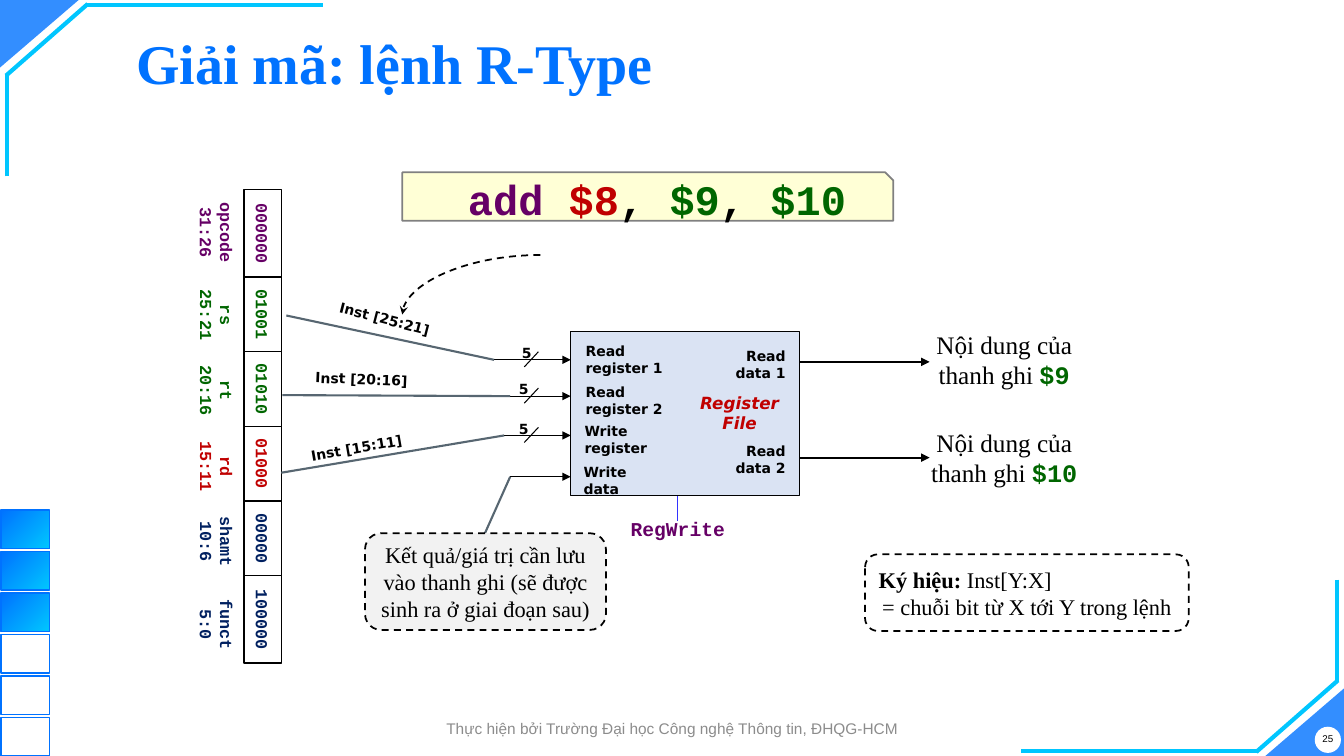
from dataclasses import dataclass, replace

from lxml.etree import SubElement
from pptx import Presentation
from pptx.dml.color import RGBColor
from pptx.enum.dml import MSO_LINE
from pptx.enum.shapes import MSO_CONNECTOR, MSO_SHAPE
from pptx.enum.text import MSO_ANCHOR, MSO_AUTO_SIZE, PP_ALIGN
from pptx.oxml.ns import qn
from pptx.util import Inches, Pt

BLUE = RGBColor(0x00, 0x72, 0xFF)
CYAN = RGBColor(0x00, 0xC6, 0xFF)
WHITE = RGBColor(0xFF, 0xFF, 0xFF)
BLACK = RGBColor(0x00, 0x00, 0x00)
GRAY = RGBColor(0x8C, 0x8C, 0x8C)
PURPLE = RGBColor(0x66, 0x00, 0x66)
GREEN = RGBColor(0x00, 0x66, 0x00)
RED = RGBColor(0xC0, 0x00, 0x00)
NAVY = RGBColor(0x00, 0x20, 0x60)
WIRE = RGBColor(0x57, 0x66, 0x71)
CONTROL = RGBColor(0x33, 0x33, 0xFF)
PALE_BLUE = RGBColor(0xDA, 0xE3, 0xF3)
PALE_GRAY = RGBColor(0xF2, 0xF2, 0xF2)
PALE_YELLOW = RGBColor(0xFF, 0xFF, 0xCC)
OLIVE_EDGE = RGBColor(0x80, 0x80, 0x80)

WIDTH, HEIGHT = 13.33, 7.5
LEFT, CENTER, RIGHT = PP_ALIGN.LEFT, PP_ALIGN.CENTER, PP_ALIGN.RIGHT


@dataclass
class Face:
    font: str
    size: float
    color: RGBColor = BLACK
    bold: bool = False
    italic: bool = False


SERIF = Face("Times New Roman", 16)
CODE = Face("Courier New", 12, bold=True)
PORT = Face("DejaVu Sans", 10, bold=True)


def write(shape, paragraphs, align=CENTER, anchor=MSO_ANCHOR.MIDDLE, wrap=True):
    """Fill a shape with paragraphs, each a list of (text, Face) runs."""
    frame = shape.text_frame
    frame.auto_size = MSO_AUTO_SIZE.NONE
    frame.word_wrap = wrap
    frame.vertical_anchor = anchor
    for index, runs in enumerate(paragraphs):
        paragraph = frame.add_paragraph() if index else frame.paragraphs[0]
        paragraph.alignment = align
        for words, face in runs:
            run = paragraph.add_run()
            run.text = words
            run.font.name, run.font.size = face.font, Pt(face.size)
            run.font.bold, run.font.italic = face.bold, face.italic
            run.font.color.rgb = face.color
    return frame


def label(slide, box, paragraphs, rotation=0, **options):
    textbox = slide.shapes.add_textbox(*map(Inches, box))
    textbox.rotation = rotation
    write(textbox, paragraphs, **options)


def port_label(slide, box, lines, face=PORT, align=LEFT, rotation=0):
    label(slide, box, [[(line, face)] for line in lines], rotation,
          align=align, anchor=MSO_ANCHOR.TOP, wrap=False)


def panel(slide, kind, box, fill=None, edge=None, weight=1, alpha=None):
    shape = slide.shapes.add_shape(kind, *map(Inches, box))
    shape.shadow.inherit = False
    if fill is None:
        shape.fill.background()
    else:
        shape.fill.solid()
        shape.fill.fore_color.rgb = fill
        if alpha:
            color = shape._element.spPr.find(qn("a:solidFill"))[0]
            SubElement(color, qn("a:alpha")).set("val", str(alpha * 1000))
    if edge is None:
        shape.line.fill.background()
    else:
        shape.line.color.rgb = edge
        shape.line.width = Pt(weight)
    return shape


def line(slide, start, end, color=BLACK, weight=0.75, head=None,
         kind=MSO_CONNECTOR.STRAIGHT, dash=None):
    connector = slide.shapes.add_connector(kind, *map(Inches, (*start, *end)))
    connector.line.color.rgb = color
    connector.line.width = Pt(weight)
    if dash:
        connector.line.dash_style = dash
    if head:
        SubElement(connector.line._get_or_add_ln(), qn("a:tailEnd")).set("type", head)
    SubElement(connector._element.spPr, qn("a:effectLst"))
    return connector


def corner(slide, box, opposite=False):
    """Triangle and three strokes of the top left corner, or of the opposite one."""
    triangle = panel(slide, MSO_SHAPE.ISOSCELES_TRIANGLE, box, BLUE, alpha=80)
    triangle.adjustments[0] = 1
    triangle.rotation = 0 if opposite else 180
    left, top, width, height = box
    strokes = [((3.2, 0.05), (0.85, 0.05)), ((0.87, 0.04), (0.06, 0.75)),
               ((0.07, 1.75), (0.07, 0.73))]
    for stroke in strokes:
        ends = [(left + width - x, top + height - y) if opposite else (left + x, top + y)
                for x, y in stroke]
        line(slide, *ends, CYAN, 3)


def progress_squares(slide, left, top, filled=3, total=6):
    for index in range(total):
        square = panel(slide, MSO_SHAPE.RECTANGLE,
                       (left, top + index * 0.412, 0.48, 0.38), edge=BLUE)
        if index < filled:
            square.fill.gradient()
            square.fill.gradient_angle = 315
            for stop, color in zip(square.fill.gradient_stops, (BLUE, CYAN)):
                stop.color.rgb = color


def heading(slide, box):
    title = slide.shapes.title
    title.left, title.top, title.width, title.height = map(Inches, box)
    face = replace(SERIF, size=40, color=BLUE, bold=True)
    frame = write(title, [[("Giải mã: lệnh R-Type", face)]], LEFT)
    frame.paragraphs[0].line_spacing = 0.9


def footer(slide, box):
    panel(slide, MSO_SHAPE.OVAL, (13.04, 7.21, 0.26, 0.26), WHITE)
    label(slide, (13.01, 7.17, 0.32, 0.32), [[("25", Face("Arial", 7))]], wrap=False)
    credit = "Thực hiện bởi Trường Đại học Công nghệ Thông tin, ĐHQG-HCM"
    label(slide, box, [[(credit, Face("Arial", 11, GRAY))]])


def instruction_fields(slide, left, top, width=0.37):
    """Column of bit fields, read downwards, with names on its left."""
    fields = [("opcode", "31:26", "000000", PURPLE), ("rs", "25:21", "01001", GREEN),
              ("rt", "20:16", "01010", GREEN), ("rd", "15:11", "01000", RED),
              ("shamt", "10:6", "00000", NAVY), ("funct", "5:0", "100000", NAVY)]
    name_top = top - 0.02
    for name, span, bits, color in fields:
        length, name_length = (0.87, 0.89) if len(bits) == 6 else (0.74, 0.75)
        face = replace(CODE, color=color)
        label(slide, (left - 0.27 - name_length / 2, name_top + name_length / 2 - 0.275,
                      name_length, 0.55), [[(name, face)], [(span, face)]], 90)
        cell = panel(slide, MSO_SHAPE.RECTANGLE,
                     (left + (width - length) / 2, top + (length - width) / 2, length, width),
                     WHITE, BLACK)
        cell.rotation = 90
        write(cell, [[(bits, face)]])
        top += length
        name_top += name_length


def register_file(slide, box):
    left, top, width, height = box
    right = left + width
    panel(slide, MSO_SHAPE.RECTANGLE, box, PALE_BLUE, BLACK, 0.75)
    inputs = [("Read", "register 1", 0.05, 0.06, 0.28, 0.76, 0.58),
              ("Read", "register 2", 0.05, 0.47, 0.64, 0.60, 0.61),
              ("Write", "register", 0.04, 0.85, 1.03, 0.66, 0.61),
              ("Write", "data", 0.03, 1.26, 1.44, 0.60, None)]
    for first, second, dx, dy, port, reach, width_mark in inputs:
        port_label(slide, (left + dx, top + dy, 0.96, 0.43), (first, second))
        y = top + port
        line(slide, (left - reach, y), (left, y), head="triangle")
        if width_mark:
            line(slide, (left - 0.32, y - 0.08), (left - 0.46, y + 0.07))
            port_label(slide, (left - width_mark, y - 0.2, 0.29, 0.26), ["5"], align=CENTER)
    outputs = [(1, 0.3, 0.11, 0.07, "$9"), (2, 1.25, 1.05, 1.04, "$10")]
    for number, port, name_dy, content_dy, register in outputs:
        y = top + port
        port_label(slide, (right - 0.73, top + name_dy, 0.69, 0.43),
                   ("Read", f"data {number}"), align=RIGHT)
        line(slide, (right, y), (right + 1.29, y), weight=1.5, head="triangle")
        label(slide, (right + 1.11, top + content_dy, 1.84, 0.41),
              [[("Nội dung của thanh ghi ", replace(SERIF, size=18)),
                (register, replace(CODE, size=18, color=GREEN))]])
    port_label(slide, (left + 1.18, top + 0.56, 0.99, 0.5), ("Register", "File"),
               replace(PORT, size=12, color=RED, italic=True), CENTER)
    line(slide, (left + 1.06, top + height), (left + 1.06, top + height + 0.25), CONTROL)
    port_label(slide, (left + 0.5, top + height + 0.16, 1.13, 0.33), ["RegWrite"],
               replace(CODE, size=14, color=PURPLE), RIGHT)


def instruction_wires(slide):
    wires = [((2.84, 3.13), (4.9, 3.57), "25:21", (3.26, 3.03), 14.4),
             ((2.8, 3.92), (5.06, 3.93), "20:16", (3.03, 3.63), 2.5),
             ((2.79, 4.69), (5, 4.32), "15:11", (2.98, 4.31), 350.1)]
    for start, end, span, corner_point, angle in wires:
        line(slide, start, end, WIRE, 1.5)
        port_label(slide, (*corner_point, 1.11, 0.26), [f"Inst [{span}]"],
                   align=CENTER, rotation=angle)
    line(slide, (4.81, 5.29), (5.06, 4.73), WIRE, 1.5)


def note(slide, box, fill, paragraphs):
    bubble = panel(slide, MSO_SHAPE.ROUNDED_RECTANGLE, box, fill, BLACK, 1.25)
    bubble.line.dash_style = MSO_LINE.DASH
    return write(bubble, paragraphs)


def assembly_line(slide, box):
    banner = panel(slide, MSO_SHAPE.SNIP_1_RECTANGLE, box, PALE_YELLOW, OLIVE_EDGE, 1.25, 80)
    parts = [("add ", PURPLE), ("$8", RED), (", ", BLACK), ("$9", GREEN),
             (", ", BLACK), ("$10", GREEN)]
    frame = write(banner, [[(part, replace(CODE, size=30, color=color))
                            for part, color in parts]])
    frame.margin_left, frame.margin_top = Inches(0.32), Inches(0.06)
    left, top = box[:2]
    pointer = line(slide, (left + 1.37, top + 0.82), (left, top + 1.41), weight=1.25,
                   head="stealth", kind=MSO_CONNECTOR.CURVE, dash=MSO_LINE.DASH)
    pointer._element.spPr.find(qn("a:prstGeom")).set("prst", "curvedConnector2")


def main():
    deck = Presentation()
    deck.slide_width, deck.slide_height = Inches(WIDTH), Inches(HEIGHT)
    slide = deck.slides.add_slide(deck.slide_layouts[5])
    corner(slide, (0, 0, 0.78, 0.67))
    corner(slide, (WIDTH - 0.78, HEIGHT - 0.67, 0.78, 0.67), opposite=True)
    progress_squares(slide, 0.01, 5.06)
    heading(slide, (1.25, 0.17, 11.5, 0.98))
    footer(slide, (3.99, 7.08, 5.36, 0.29))
    instruction_fields(slide, 2.42, 1.88)
    register_file(slide, (5.66, 3.29, 2.27, 1.63))
    instruction_wires(slide)
    note(slide, (3.62, 5.29, 2.39, 0.96), PALE_GRAY,
         [[("Kết quả/giá trị cần lưu vào thanh ghi (sẽ được sinh ra ở giai đoạn sau)", SERIF)]])
    notation = note(slide, (8.58, 5.5, 3.21, 0.76), WHITE,
                    [[("Ký hiệu: ", replace(SERIF, bold=True)), ("Inst[Y:X]", SERIF)],
                     [("= chuỗi bit từ X tới Y trong lệnh", SERIF)]])
    notation.paragraphs[0].alignment = LEFT
    assembly_line(slide, (3.99, 1.71, 4.87, 0.48))
    deck.save("out.pptx")


if __name__ == "__main__":
    main()
